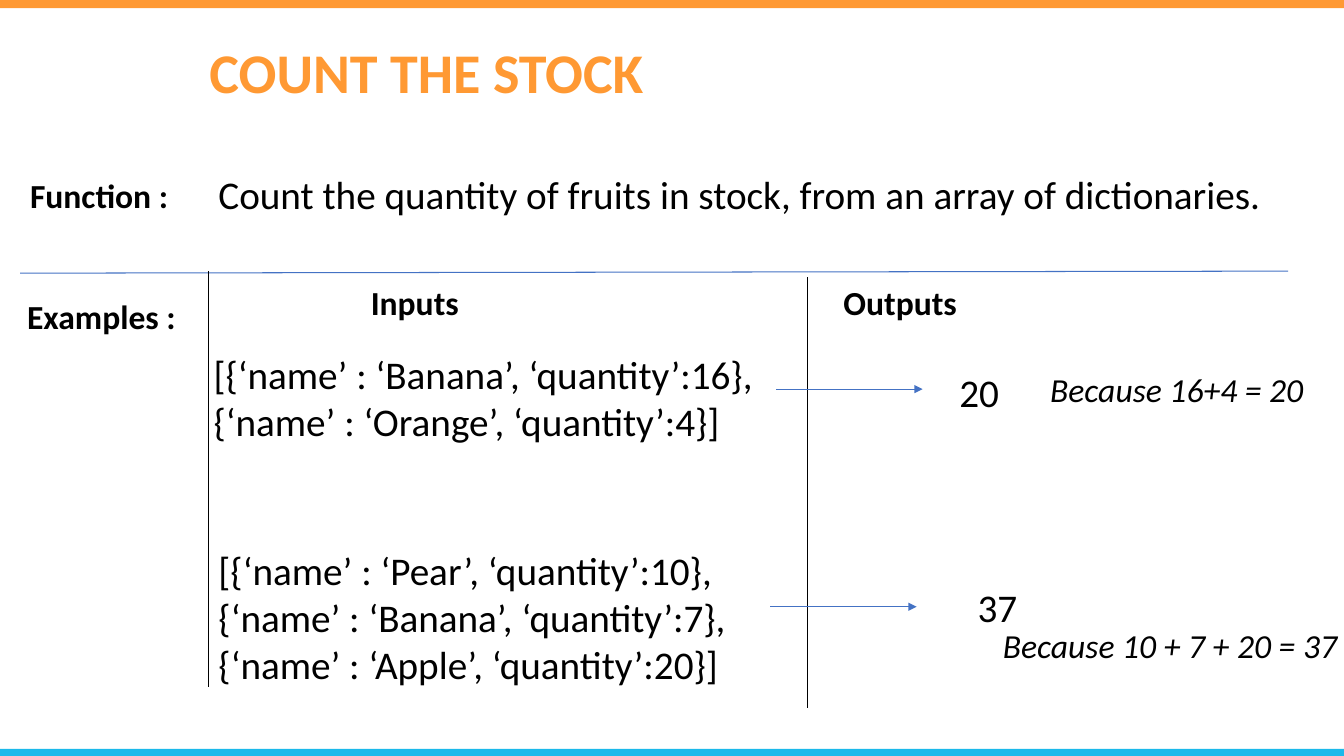
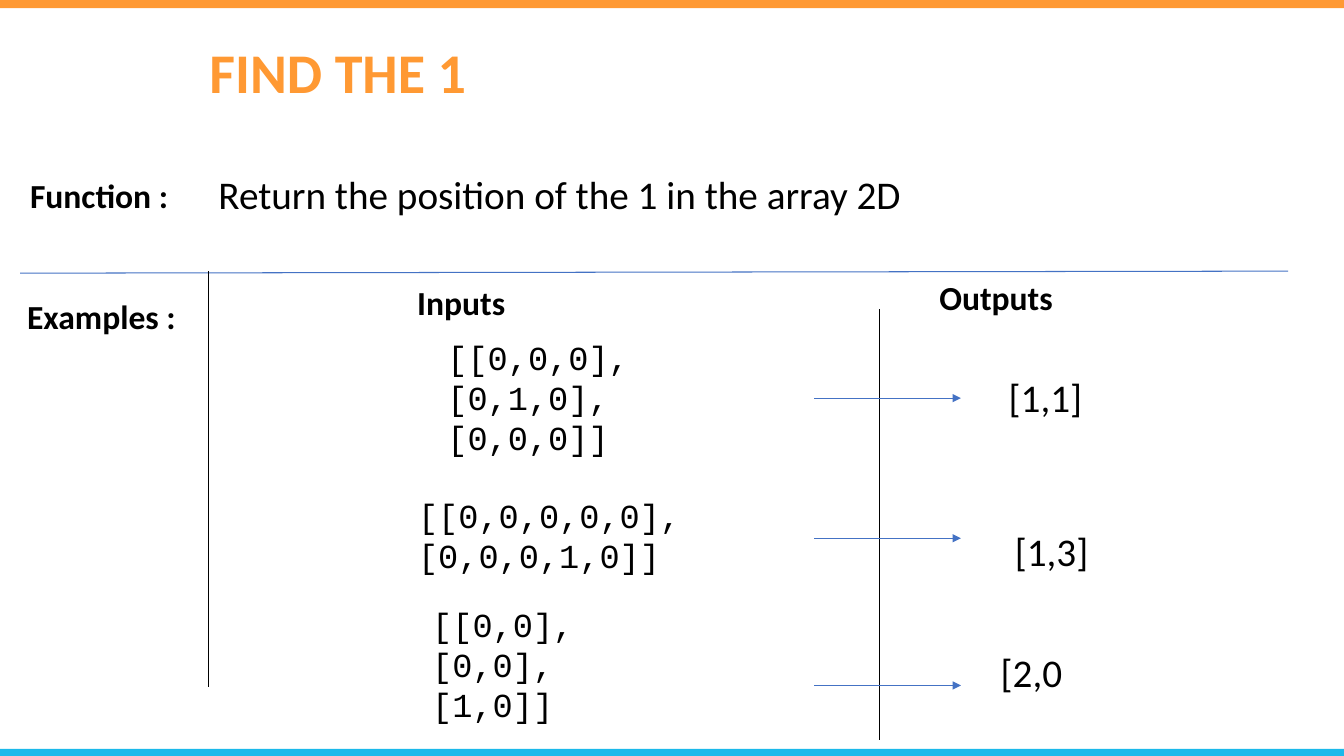
import lxml.etree
import pptx
import pptx.dml.color
import pptx.enum.shapes
import pptx.enum.text
import pptx.oxml.ns
import pptx.util

ORANGE = pptx.dml.color.RGBColor(0xFF, 0x99, 0x33)
CYAN = pptx.dml.color.RGBColor(0x1B, 0xB9, 0xEA)
BLUE = pptx.dml.color.RGBColor(0x44, 0x72, 0xC4)
BLACK = pptx.dml.color.RGBColor(0, 0, 0)

COLUMNS, ROWS = 100, 75
BODY, LABEL, TITLE = 28, 24, 40
SANS, MONO = "Calibri", "Courier New"
ARROW_LENGTH = 10.9


class Deck:
    def __init__(self):
        self.prs = pptx.Presentation()
        self.prs.slide_height = pptx.util.Inches(7.5)
        self.prs.slide_width = self.prs.slide_height * 16 // 9
        self.s = None

    def x(self, columns):
        return round(self.prs.slide_width * columns / COLUMNS)

    def y(self, rows):
        return round(self.prs.slide_height * rows / ROWS)

    def band(self, top, height, color):
        sp = self.s.shapes.add_shape(
            pptx.enum.shapes.MSO_SHAPE.RECTANGLE,
            0, self.y(top), self.x(COLUMNS), self.y(height))
        sp.shadow.inherit = False
        sp.fill.solid()
        sp.fill.fore_color.rgb = color
        sp.line.fill.background()

    def text(self, left, top, width, text, size=BODY, font=SANS, color=BLACK,
             bold=False, italic=False, indent=0):
        height = 1 + len(text.split("\n")) * size / 6
        sp = self.s.shapes.add_textbox(
            self.x(left), self.y(top), self.x(width), self.y(height))
        tf = sp.text_frame
        tf.word_wrap = True
        tf.auto_size = pptx.enum.text.MSO_AUTO_SIZE.SHAPE_TO_FIT_TEXT
        tf.text = text
        for p in tf.paragraphs:
            if indent:
                p.level = 1
                pPr = p._p.get_or_add_pPr()
                pPr.set("marL", str(pptx.util.Inches(indent)))
                pPr.set("indent", "0")
            for r in p.runs:
                r.font.name = font
                r.font.size = pptx.util.Pt(size)
                r.font.color.rgb = color
                r.font.bold = bold
                r.font.italic = italic

    def label(self, left, top, width, text):
        self.text(left, top, width, text, size=LABEL, bold=True)

    def reason(self, left, top, width, text):
        self.text(left, top, width, text, size=LABEL, italic=True)

    def matrix(self, left, top, width, text):
        self.text(left, top, width, text, size=LABEL, font=MONO, indent=0.5)

    def line(self, x1, y1, x2, y2, color=BLACK):
        cxn = self.s.shapes.add_connector(
            pptx.enum.shapes.MSO_CONNECTOR.STRAIGHT,
            self.x(x1), self.y(y1), self.x(x2), self.y(y2))
        cxn.line.color.rgb = color
        cxn.line.width = pptx.util.Pt(0.75)
        lxml.etree.SubElement(
            cxn._element.spPr, pptx.oxml.ns.qn("a:effectLst"))
        return cxn

    def arrow(self, left, top):
        cxn = self.line(left, top, left + ARROW_LENGTH, top, BLUE)
        ln = cxn._element.spPr.find(pptx.oxml.ns.qn("a:ln"))
        lxml.etree.SubElement(
            ln, pptx.oxml.ns.qn("a:tailEnd"), type="triangle")

    def exercise(self, title, function):
        self.s = self.prs.slides.add_slide(self.prs.slide_layouts[6])
        self.band(0, 0.8, ORANGE)
        self.band(74.3, 0.7, CYAN)
        self.text(14.85, 3.2, 35, title, size=TITLE, color=ORANGE, bold=True)
        self.label(1.5, 16.9, 15.3, "Function :")
        self.text(15.52, 16.4, 83.55, function)
        self.line(1.5, 27.1, 95.85, 26.9, BLUE)
        self.label(1.28, 28.9, 15.5, "Examples :")
        self.line(15.52, 26.9, 15.52, 68.2)

    def divider(self, left, top):
        self.line(left, top, left, top + 42.7)


deck = Deck()

deck.exercise(
    "COUNT THE STOCK",
    "Count the quantity of fruits in stock, from an array of dictionaries.")
deck.label(26.85, 27.5, 17.85, "Inputs")
deck.label(62.02, 27.5, 11.32, "Outputs")
deck.divider(60.08, 27.5)
deck.text(15.15, 34.3, 42.52,
          "[{‘name’ : ‘Banana’, ‘quantity’:16},\n"
          "{‘name’ : ‘Orange’, ‘quantity’:4}]")
deck.arrow(57.75, 38.6)
deck.text(70.65, 36, 6.3, "20")
deck.reason(77.4, 36.1, 24.38, "Because 16+4 = 20")
deck.text(15.52, 53.7, 44.55,
          "[{‘name’ : ‘Pear’, ‘quantity’:10},\n"
          "{‘name’ : ‘Banana’, ‘quantity’:7},\n"
          "{‘name’ : ‘Apple’, ‘quantity’:20}]")
deck.arrow(57.3, 60.2)
deck.text(72, 57.4, 6.3, "37")
deck.reason(73.88, 61.5, 31.35, "Because 10 + 7 + 20 = 37")

deck.exercise("FIND THE 1", "Return the position of the 1 in the array 2D")
deck.label(30.3, 27.5, 17.85, "Inputs")
deck.label(69.15, 27, 23.17, "Outputs")
deck.divider(65.47, 30.7)
deck.matrix(28.8, 32.9, 21.22, "[[0,0,0],\n[0,1,0],\n[0,0,0]]")
deck.matrix(26.62, 48.6, 26.77, "[[0,0,0,0,0],\n[0,0,0,1,0]]")
deck.matrix(27.67, 59.4, 26.77, "[[0,0],\n[0,0],\n[1,0]]")
for top in (39.5, 53.4, 68):
    deck.arrow(60.6, top)
for left, top, position in ((74.32, 36.5, "[1,1]"),
                            (74.78, 51.8, "[1,3]"),
                            (73.72, 63.8, "[2,0")):
    deck.text(left, top, 7.8, position)

deck.prs.save("out.pptx")
